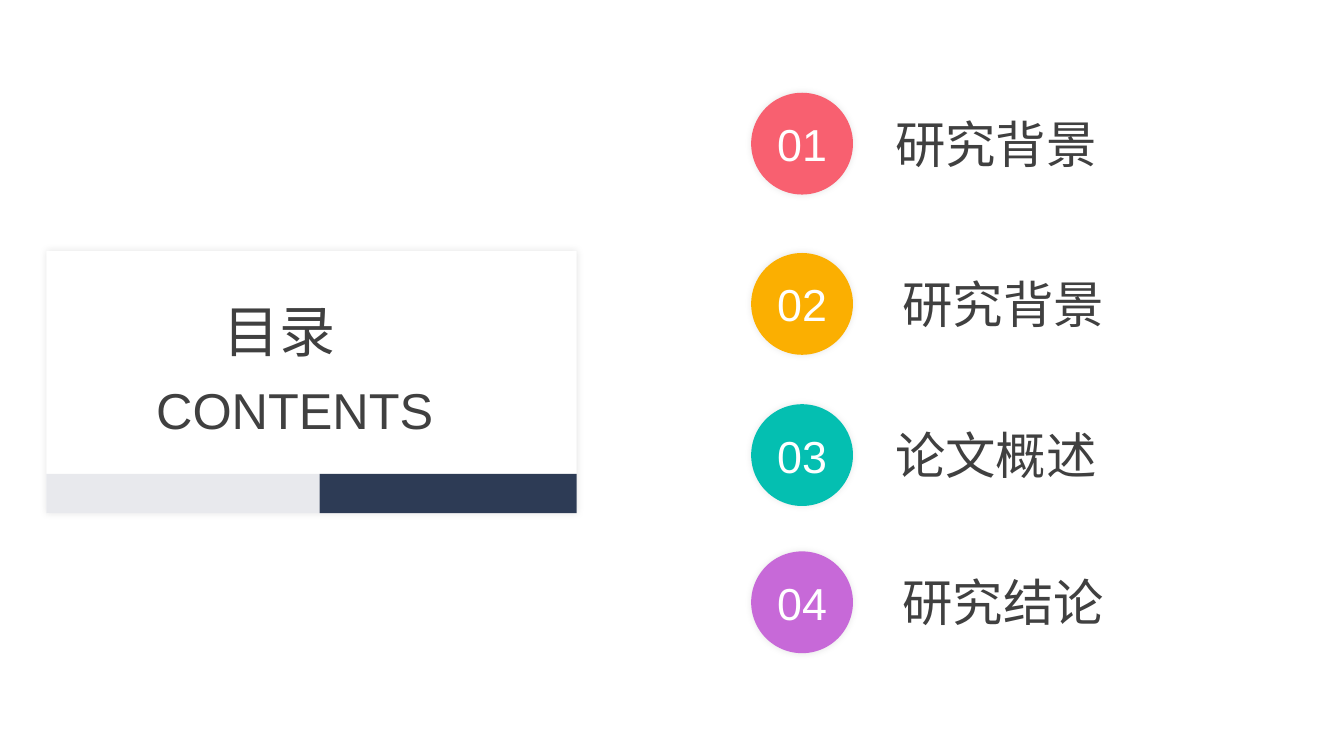
from lxml import etree
from pptx import Presentation
from pptx.dml.color import RGBColor
from pptx.enum import shapes, text
from pptx.oxml import ns
from pptx.util import Emu, Pt

PX = 9144
COLOURS = {
    "white": "FFFFFF", "ink": "404040", "shadow": "000000",
    "grey": "E8E9ED", "navy": "2D3B55",
    "red": "F86070", "amber": "FBAF01", "teal": "04BFB1", "violet": "C769D8",
}
TOPICS = [
    ("研究背景", "red", 92, 878),
    ("研究背景", "amber", 251, 885),
    ("论文概述", "teal", 401, 878),
    ("研究结论", "violet", 547, 885),
]


def px(*lengths):
    """Turn px lengths into EMU."""
    return [Emu(length * PX) for length in lengths]


def colour(name):
    """Look up a named colour."""
    return RGBColor.from_string(COLOURS[name])


def apply(target, values):
    """Set each attribute in values on target."""
    for key, value in values.items():
        setattr(target, key, value)


def add_glow(shape, alpha):
    """Give the shape a soft, centred shadow of alpha percent."""
    effects = shape._element.spPr.find(ns.qn("a:effectLst"))
    shadow = etree.SubElement(effects, ns.qn("a:outerShdw"), blurRad=str(Pt(5)),
                              dist="0", dir="0", algn="ctr", rotWithShape="0")
    tint = etree.SubElement(shadow, ns.qn("a:srgbClr"), val=COLOURS["shadow"])
    etree.SubElement(tint, ns.qn("a:alpha"), val=str(alpha * 1000))


def add_block(slide, kind, box, fill, glow=0):
    """Add a borderless filled shape, with a shadow if glow is given."""
    block = slide.shapes.add_shape(kind, *px(*box))
    block.shadow.inherit = False
    block.fill.solid()
    block.fill.fore_color.rgb = colour(fill)
    block.line.fill.background()
    if glow:
        add_glow(block, glow)
    return block


def write(frame, words, size, ink, align):
    """Write one line of Arial text in a frame."""
    line = frame.paragraphs[0]
    line.alignment = align
    run = line.add_run()
    run.text = words
    apply(run.font, {"size": Pt(size), "name": "Arial"})
    run.font.color.rgb = colour(ink)


def add_label(slide, words, box, size):
    """Add a dark justified text box."""
    frame = slide.shapes.add_textbox(*px(*box)).text_frame
    apply(frame, {"word_wrap": True, "auto_size": text.MSO_AUTO_SIZE.SHAPE_TO_FIT_TEXT})
    write(frame, words, size, "ink", text.PP_ALIGN.JUSTIFY)


def add_title_card(slide):
    """Draw the contents card with its two-tone footer."""
    rectangle = shapes.MSO_SHAPE.RECTANGLE
    add_block(slide, rectangle, (46, 249, 526, 260), "white", glow=11)
    add_block(slide, rectangle, (46, 470, 271, 39), "grey")
    add_block(slide, rectangle, (317, 470, 255, 39), "navy")
    add_label(slide, "CONTENTS", (145, 371, 328, 71), 36)
    add_label(slide, "目录", (212, 289, 195, 77), 40)


def add_topic(slide, number, title, fill, top, title_left):
    """Draw a numbered circle and its topic title."""
    badge = add_block(slide, shapes.MSO_SHAPE.OVAL, (745, top, 101, 101), fill, glow=9)
    apply(badge.text_frame, {"vertical_anchor": text.MSO_ANCHOR.MIDDLE})
    write(badge.text_frame, f"{number:02}", 32, "white", text.PP_ALIGN.CENTER)
    add_label(slide, title, (title_left, top + 15, 268, 71), 36)


def main():
    """Build the contents slide."""
    deck = Presentation()
    apply(deck, dict(zip(("slide_width", "slide_height"), px(1333, 750))))
    slide = deck.slides.add_slide(deck.slide_layouts[6])
    add_title_card(slide)
    for number, topic in enumerate(TOPICS, 1):
        add_topic(slide, number, *topic)
    deck.save("out.pptx")


if __name__ == "__main__":
    main()
